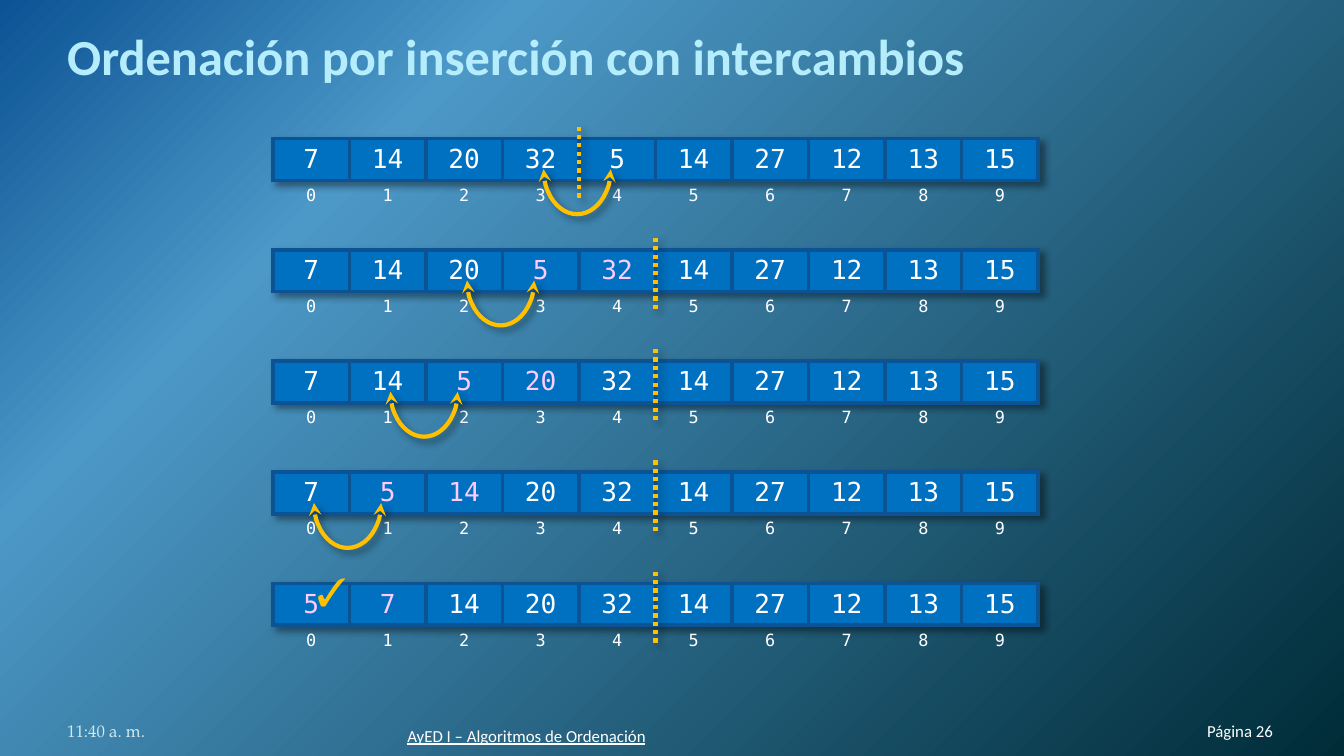
from lxml import etree
from pptx import Presentation
from pptx import oxml
from pptx import util as u
from pptx.dml import color
from pptx.enum import dml, shapes, text
from pptx.oxml import ns

COLORS = {
    "title": "B5EDFD", "cell": "0070C0", "border": "0B5394", "white": "FFFFFF",
    "moved": "FFCCFF", "mark": "FFC000", "time": "D1EAEE", "shadow": "000000",
}
BACKGROUND_STOPS = [(0, "0B5394"), (25, "4C98C7"), (100, "002C38")]
VALUES = [7, 14, 20, 32, 5, 14, 27, 12, 13, 15]
START = 4  # position of the value being inserted

# Geometry in points
LEFT, TOP, PITCH = 146.2, 74.2, 59.6
COLUMN, VALUE_ROW, INDEX_ROW = 41, 22, 17.4
ARC_WIDTH, ARC_HEIGHT = 48.2, 36


def rgb(name):
    return color.RGBColor.from_string(COLORS[name])


def set_format(target, values):
    for name, value in values.items():
        setattr(target, name, value)


def write(frame, content, size, font, shade, align=text.PP_ALIGN.LEFT, **styles):
    paragraph = frame.paragraphs[0]
    paragraph.alignment = align
    run = paragraph.add_run()
    run.text = content
    set_format(run.font, {"size": u.Pt(size), "name": font, **styles})
    run.font.color.rgb = rgb(shade)
    return run


def solid_line(tag, shade, width):
    return oxml.parse_xml(
        f'<a:{tag} {ns.nsdecls("a")} w="{u.Pt(width)}"><a:solidFill>'
        f'<a:srgbClr val="{COLORS[shade]}"/></a:solidFill></a:{tag}>')


def shadow_effect():
    return oxml.parse_xml(
        f'<a:effectLst {ns.nsdecls("a")}><a:outerShdw blurRad="{u.Pt(4)}" '
        f'dist="{u.Pt(3)}" dir="2700000" algn="tl" rotWithShape="0">'
        f'<a:srgbClr val="{COLORS["shadow"]}"><a:alpha val="40000"/></a:srgbClr>'
        '</a:outerShdw></a:effectLst>')


def paint_background(slide):
    slide.background.fill.gradient()
    gradient = slide.background._cSld.bg.bgPr.find(ns.qn("a:gradFill"))
    stops = "".join(
        f'<a:gs pos="{position * 1000}"><a:srgbClr val="{shade}"/></a:gs>'
        for position, shade in BACKGROUND_STOPS)
    gradient.getparent().replace(gradient, oxml.parse_xml(
        f'<a:gradFill {ns.nsdecls("a")} rotWithShape="1"><a:gsLst>{stops}</a:gsLst>'
        '<a:path path="circle"><a:fillToRect r="100000" b="100000"/></a:path>'
        '</a:gradFill>'))


def add_title(slide, content):
    title = slide.shapes.title
    set_format(title, {"left": u.Pt(36), "top": u.Pt(16.5),
                       "width": u.Pt(648), "height": u.Pt(29.5)})
    set_format(title.text_frame, {
        "margin_left": 0, "margin_right": 0, "margin_top": u.Pt(3.6),
        "margin_bottom": 0, "word_wrap": True,
        "vertical_anchor": text.MSO_ANCHOR.BOTTOM,
        "auto_size": text.MSO_AUTO_SIZE.NONE})
    run = write(title.text_frame, content, 27, "Calibri", "title", bold=True)
    run.font._element.insert(0, solid_line("ln", "cell", 0.75))


def add_footer(slide, content, left, top, width, font, shade="white",
               align=text.PP_ALIGN.LEFT, **styles):
    box = slide.shapes.add_textbox(u.Pt(left), u.Pt(top), u.Pt(width), u.Pt(21.6))
    set_format(box.text_frame, {
        "margin_left": 0, "margin_right": 0, "margin_top": 0, "margin_bottom": 0,
        "word_wrap": True, "vertical_anchor": text.MSO_ANCHOR.BOTTOM})
    write(box.text_frame, content, 9, font, shade, align, **styles)


def fill_cell(cell, content, size, shade, borders):
    set_format(cell, {"margin_left": u.Pt(5), "margin_right": u.Pt(5),
                      "margin_top": u.Pt(2.8), "margin_bottom": u.Pt(2.8)})
    write(cell.text_frame, str(content), size, "DejaVu Sans Mono", shade,
          text.PP_ALIGN.CENTER)
    properties = cell._tc.get_or_add_tcPr()
    for border in borders:
        properties.append(solid_line(border, "border", 2.25))


def add_array(slide, values, moved, top):
    frame = slide.shapes.add_table(
        2, len(values), u.Pt(LEFT), u.Pt(top),
        u.Pt(COLUMN * len(values)), u.Pt(VALUE_ROW + INDEX_ROW))
    table = frame.table
    set_format(table, {"first_row": False, "horz_banding": False})
    properties = table._tbl.tblPr
    properties.insert(0, shadow_effect())
    style = properties.find(ns.qn("a:tableStyleId"))
    style.text = "{2D5ABB26-0587-4C30-8999-92F81FD0307C}"  # no style, no grid
    for row, height in zip(table.rows, (VALUE_ROW, INDEX_ROW)):
        row.height = u.Pt(height)
    for index, value in enumerate(values):
        table.columns[index].width = u.Pt(COLUMN)
        cell = table.cell(0, index)
        fill_cell(cell, value, 14, "moved" if index in moved else "white",
                  ("lnL", "lnR", "lnT", "lnB"))
        cell.fill.solid()
        cell.fill.fore_color.rgb = rgb("cell")
        cell = table.cell(1, index)
        fill_cell(cell, index, 9, "white", ("lnT",))
        cell.fill.background()


def style_mark(shape):
    shape.line.color.rgb = rgb("mark")
    shape.line.width = u.Pt(2.25)
    shape._element.spPr.append(shadow_effect())


def add_divider(slide, column, top):
    x = u.Pt(LEFT + COLUMN * column)
    divider = slide.shapes.add_connector(
        shapes.MSO_CONNECTOR.STRAIGHT, x, u.Pt(top + 31.7), x, u.Pt(top - 7.2))
    style_mark(divider)
    divider.line.dash_style = dml.MSO_LINE.ROUND_DOT


def add_swap_arrow(slide, column, top):
    left = LEFT + COLUMN * column - 1 - ARC_WIDTH / 2
    arc = slide.shapes.add_shape(
        shapes.MSO_SHAPE.ARC, u.Pt(left), u.Pt(top - 1.5),
        u.Pt(ARC_WIDTH), u.Pt(ARC_HEIGHT))
    arc.adjustments[0], arc.adjustments[1] = 162, 53.78
    arc.rotation = 270
    arc._element.spPr.xfrm.set("flipH", "1")
    arc.fill.background()
    style_mark(arc)
    for end in ("a:headEnd", "a:tailEnd"):
        etree.SubElement(arc.line._get_or_add_ln(), ns.qn(end), type="stealth")


def add_check(slide, left, top):
    box = slide.shapes.add_textbox(u.Pt(left), u.Pt(top), u.Pt(31), u.Pt(32.4))
    set_format(box.text_frame, {"word_wrap": False,
                                "auto_size": text.MSO_AUTO_SIZE.SHAPE_TO_FIT_TEXT})
    write(box.text_frame, "✓", 21, "Cambria", "mark", bold=True)
    box.text_frame.paragraphs[0].space_after = u.Pt(4.5)


def main():
    presentation = Presentation()
    set_format(presentation, {"slide_width": u.Pt(720), "slide_height": u.Pt(405)})
    slide = presentation.slides.add_slide(presentation.slide_layouts[5])
    paint_background(slide)
    add_title(slide, "Ordenación por inserción con intercambios")
    add_footer(slide, "Página 26", 611.3, 375.1, 70.6, "Calibri",
               align=text.PP_ALIGN.RIGHT)

    # One array per swap, until the value reaches the front
    values = list(VALUES)
    for step in range(START + 1):
        position, top = START - step, TOP + PITCH * step
        moved = (position, position + 1) if step else ()
        add_array(slide, values, moved, top)
        add_divider(slide, START + 1 if step else START, top)
        if position:
            add_swap_arrow(slide, position, top)
            values[position - 1:position + 1] = values[position], values[position - 1]
        else:
            add_check(slide, 162.7, top - 12.4)

    # Footer
    add_footer(slide, "11:40 a. m.", 36, 375.1, 167.8, "TeX Gyre Pagella", "time")
    add_footer(slide, "AyED I – Algoritmos de Ordenación", 218.2, 378, 272.2,
               "Calibri", underline=True)
    presentation.save("out.pptx")


if __name__ == "__main__":
    main()
